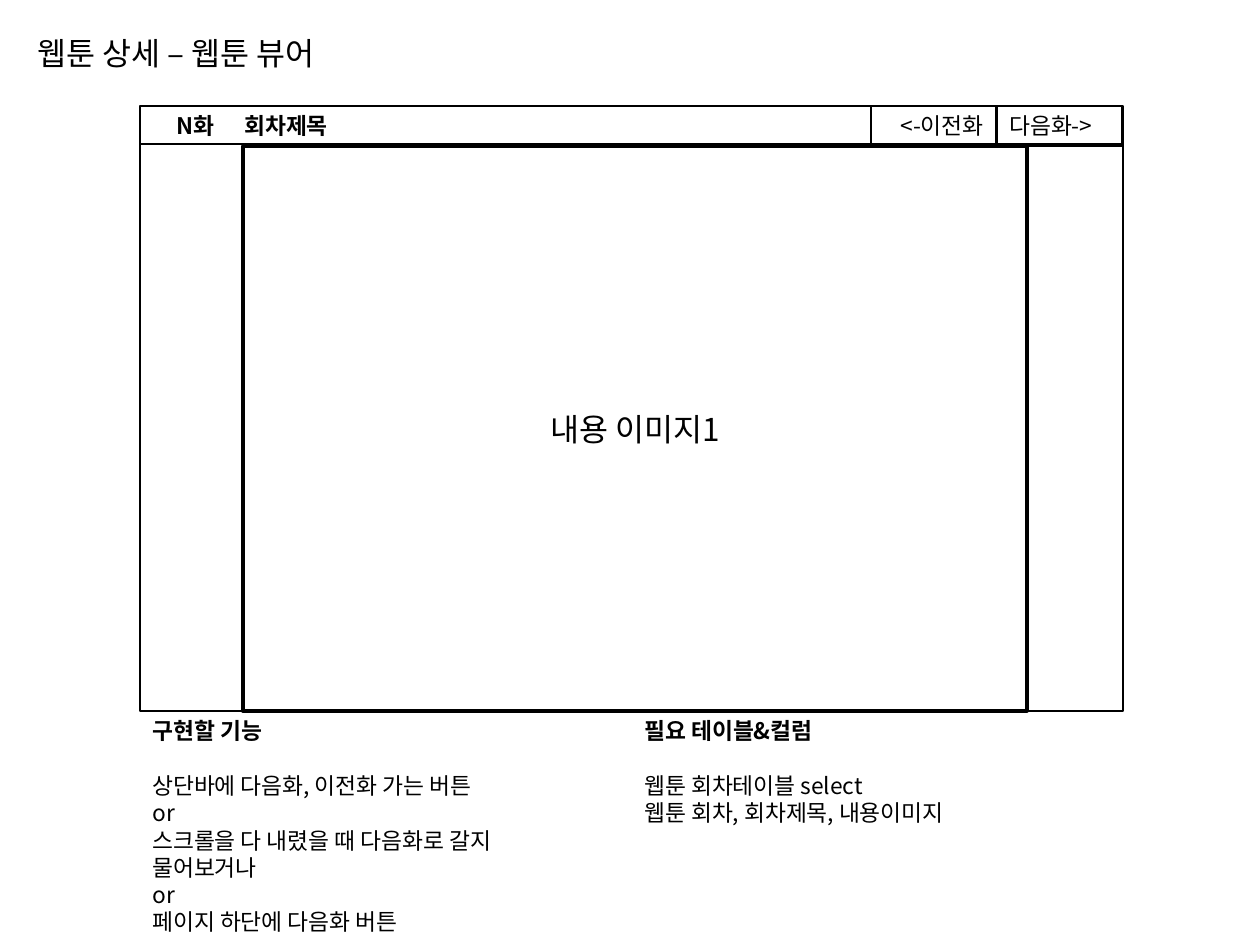
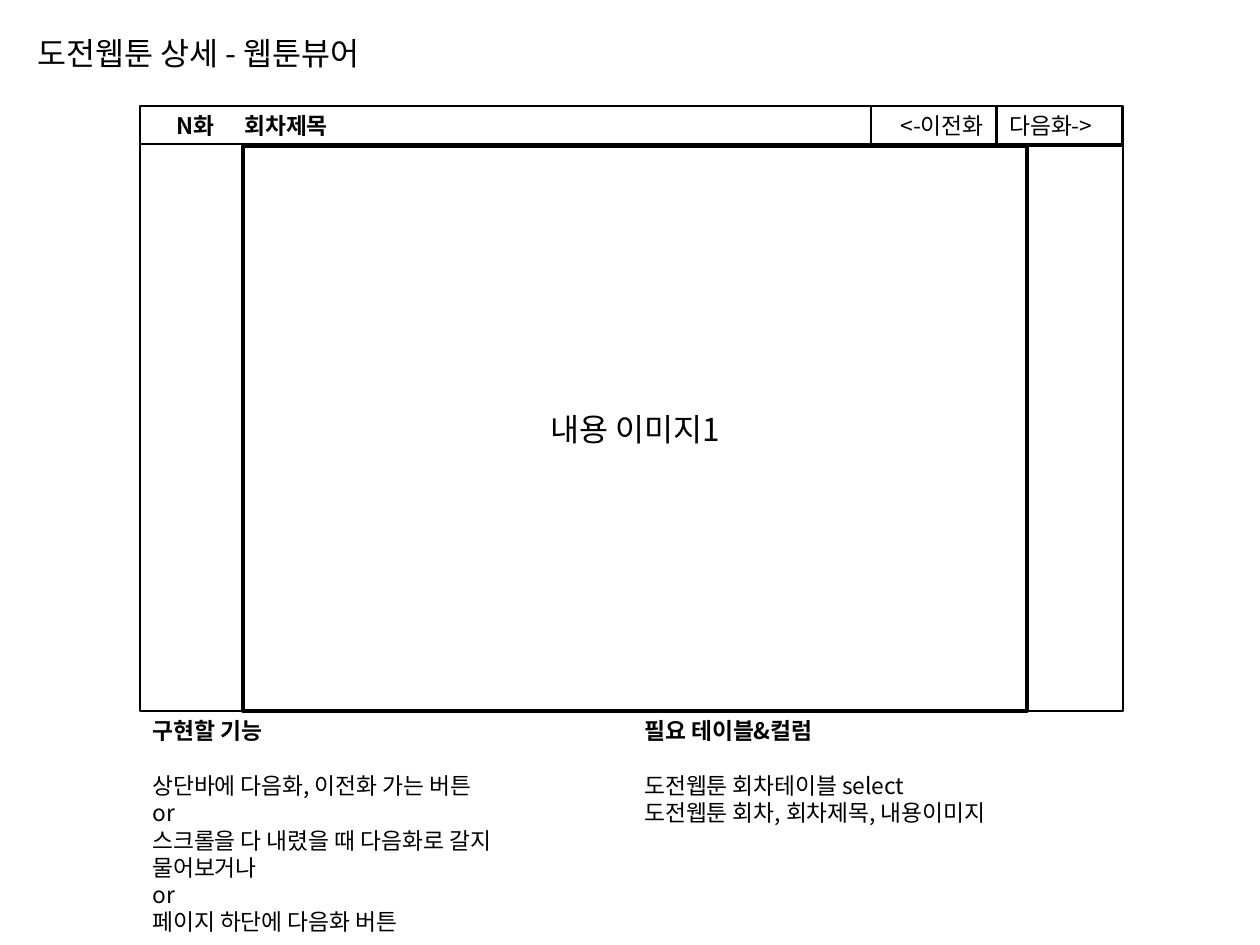
from dataclasses import dataclass

from lxml.etree import SubElement
from pptx import Presentation
from pptx.dml.color import RGBColor
from pptx.enum.shapes import MSO_CONNECTOR, MSO_SHAPE
from pptx.enum.text import MSO_ANCHOR, PP_ALIGN
from pptx.oxml.ns import qn
from pptx.util import Emu, Pt

PIXEL = 914400 // 126


def px(length: int) -> Emu:
    return Emu(length * PIXEL)


@dataclass(frozen=True)
class Theme:
    font: str = "Noto Sans CJK KR"
    ink: RGBColor = RGBColor(0, 0, 0)
    paper: RGBColor = RGBColor(255, 255, 255)
    title_size: int = 18
    body_size: int = 13
    leading: float = 1.2
    hairline: float = 0.75


@dataclass(frozen=True)
class Area:
    left: int
    top: int
    width: int
    height: int

    def emu(self) -> tuple:
        return px(self.left), px(self.top), px(self.width), px(self.height)


@dataclass(frozen=True)
class Viewer:
    title: str
    table_lines: tuple


@dataclass(frozen=True)
class Button:
    label: str
    left: int
    align: PP_ALIGN


THEME = Theme()
FRAME = Area(140, 106, 983, 605)
IMAGE = Area(243, 146, 784, 565)
TITLE = Area(25, 28, 417, 50)
BAR_HEIGHT = 40
BAR_LINE = 144
BUTTON_WIDTH = 125
EPISODE = Area(164, FRAME.top, 328, BAR_HEIGHT)
EPISODE_TAB = 68
NOTES_TOP = FRAME.top + FRAME.height
NOTES_WIDTH = FRAME.width // 2

BUTTONS = (
    Button("다음화->", 997, PP_ALIGN.LEFT),
    Button("<-이전화", 871, PP_ALIGN.RIGHT),
)
FEATURES = (
    "상단바에 다음화, 이전화 가는 버튼",
    "or",
    "스크롤을 다 내렸을 때 다음화로 갈지",
    "물어보거나",
    "or",
    "페이지 하단에 다음화 버튼",
)
VIEWERS = (
    Viewer("웹툰 상세 – 웹툰 뷰어",
           ("웹툰 회차테이블 select", "웹툰 회차, 회차제목, 내용이미지")),
    Viewer("도전웹툰 상세 - 웹툰뷰어",
           ("도전웹툰 회차테이블 select", "도전웹툰 회차, 회차제목, 내용이미지")),
)


def style_paragraph(para, size: int, bold: bool = False, align=PP_ALIGN.LEFT) -> None:
    para.alignment = align
    para.line_spacing = Pt(size * THEME.leading)
    for span in para.runs:
        span.font.size = Pt(size)
        span.font.bold = bold
        span.font.color.rgb = THEME.ink
        span.font.name = THEME.font
        east_asian = SubElement(span._r.get_or_add_rPr(), qn("a:ea"))
        east_asian.set("typeface", THEME.font)


def add_text(page, area: Area, text: str, size: int, bold: bool = False):
    box = page.shapes.add_textbox(*area.emu())
    box.text_frame.word_wrap = True
    box.text_frame.text = text
    for para in box.text_frame.paragraphs:
        style_paragraph(para, size, bold)
    return box


def add_panel(page, area: Area, weight: float, filled: bool = True):
    panel = page.shapes.add_shape(MSO_SHAPE.RECTANGLE, *area.emu())
    panel.shadow.inherit = False
    if filled:
        panel.fill.solid()
        panel.fill.fore_color.rgb = THEME.paper
    else:
        panel.fill.background()
    panel.line.color.rgb = THEME.ink
    panel.line.width = Pt(weight)
    return panel


def label_panel(panel, text: str, size: int, align: PP_ALIGN, anchor: MSO_ANCHOR) -> None:
    panel.text_frame.word_wrap = True
    panel.text_frame.vertical_anchor = anchor
    panel.text_frame.text = text
    style_paragraph(panel.text_frame.paragraphs[0], size, align=align)


def add_episode(page) -> None:
    box = add_text(page, EPISODE, "N화\t회차제목", THEME.body_size, bold=True)
    properties = box.text_frame.paragraphs[0]._p.get_or_add_pPr()
    stop = SubElement(SubElement(properties, qn("a:tabLst")), qn("a:tab"))
    stop.set("pos", str(px(EPISODE_TAB)))
    stop.set("algn", "l")


def add_bar_line(page) -> None:
    line = page.shapes.add_connector(
        MSO_CONNECTOR.STRAIGHT, px(FRAME.left), px(BAR_LINE),
        px(FRAME.left + FRAME.width), px(BAR_LINE))
    line.line.color.rgb = THEME.ink
    line.line.width = Pt(THEME.hairline)
    SubElement(line._element.spPr, qn("a:effectLst"))


def add_notes(page, column: int, heading: str, lines: tuple, height: int) -> None:
    area = Area(FRAME.left + column * (NOTES_WIDTH + 1), NOTES_TOP, NOTES_WIDTH, height)
    box = add_text(page, area, "\n".join((heading, *lines)), THEME.body_size)
    first = box.text_frame.paragraphs[0]
    first.space_after = Pt(THEME.body_size * THEME.leading)
    for span in first.runs:
        span.font.bold = True


def add_viewer(deck, viewer: Viewer) -> None:
    page = deck.slides.add_slide(deck.slide_layouts[6])
    add_panel(page, FRAME, 1)
    add_text(page, TITLE, viewer.title, THEME.title_size)
    add_episode(page)
    label_panel(add_panel(page, IMAGE, 2), "내용 이미지1", THEME.title_size,
                PP_ALIGN.CENTER, MSO_ANCHOR.MIDDLE)
    add_bar_line(page)
    add_notes(page, 0, "구현할 기능", FEATURES, 231)
    add_notes(page, 1, "필요 테이블&컬럼", viewer.table_lines, 123)
    for button in BUTTONS:
        area = Area(button.left, FRAME.top, BUTTON_WIDTH, BAR_HEIGHT)
        label_panel(add_panel(page, area, THEME.hairline, filled=False), button.label,
                    THEME.body_size, button.align, MSO_ANCHOR.TOP)


deck = Presentation()
deck.slide_width = px(1260)
deck.slide_height = px(945)
for viewer in VIEWERS:
    add_viewer(deck, viewer)
deck.save("out.pptx")
